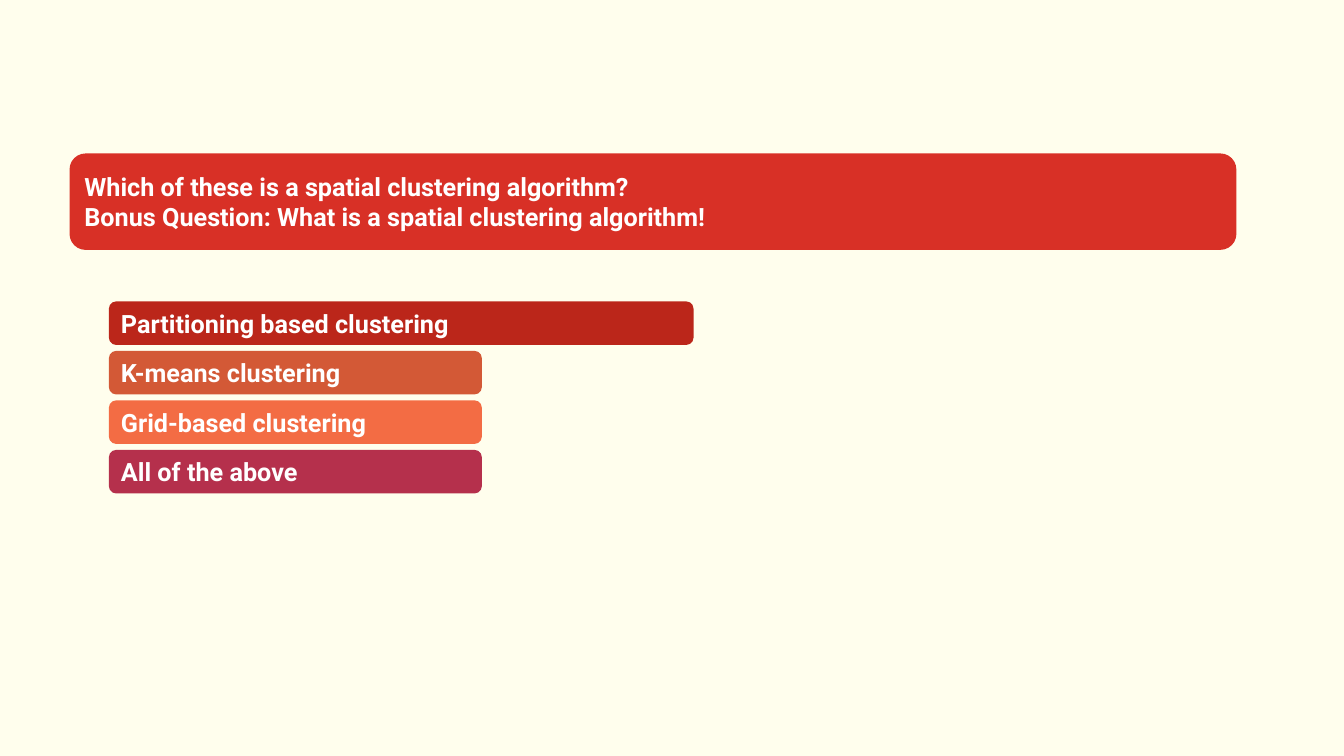
"""Build a quiz slide with one question and four answer bars."""
from dataclasses import dataclass

from pptx import Presentation
from pptx.dml.color import RGBColor
from pptx.enum import shapes, text
from pptx.util import Pt


@dataclass(frozen=True)
class Theme:
    """Colours and type of the slide."""
    background: str = "FFFEED"
    question: str = "D83026"
    answers: tuple = ("BB261A", "D35936", "F36C44", "B5304C")
    ink: str = "FFFFFF"
    font: str = "Roboto"
    size: int = 18


THEME = Theme()
QUESTION = ("Which of these is a spatial clustering algorithm?\v"
            "Bonus Question: What is a spatial clustering algorithm!")
ANSWERS = (
    ("Partitioning based clustering", 417.6),
    ("K-means clustering", 266.4),
    ("Grid-based clustering", 266.4),
    ("All of the above", 266.4),
)
BANNER = (49.68, 109.6, 833.5, 68.9)
ANSWER_LEFT, ANSWER_TOP = 77.8, 215.3
ANSWER_HEIGHT, ANSWER_PITCH = 31.1, 35.35


def write(holder, wording):
    """Set left-aligned bold text in the middle of a shape."""
    frame = holder.text_frame
    frame.text = wording
    frame.word_wrap = True
    frame.auto_size = text.MSO_AUTO_SIZE.NONE
    frame.vertical_anchor = text.MSO_ANCHOR.MIDDLE
    for paragraph in frame.paragraphs:
        paragraph.alignment = text.PP_ALIGN.LEFT
        for run in paragraph.runs:
            run.font.name = THEME.font
            run.font.size = Pt(THEME.size)
            run.font.bold = True
            run.font.color.rgb = RGBColor.from_string(THEME.ink)


def add_bar(slide, box, colour):
    """Draw a flat rounded bar and return it."""
    bar = slide.shapes.add_shape(
        shapes.MSO_SHAPE.ROUNDED_RECTANGLE, *map(Pt, box))
    bar.shadow.inherit = False
    bar.fill.solid()
    bar.fill.fore_color.rgb = RGBColor.from_string(colour)
    bar.line.fill.background()
    return bar


def add_question(slide):
    """Put the title on a banner drawn behind it."""
    title = slide.shapes.title
    banner = add_bar(slide, BANNER, THEME.question)
    title._element.addprevious(banner._element)
    title.left, title.top, title.width, title.height = map(Pt, BANNER)
    write(title, QUESTION)
    title.text_frame.margin_left = Pt(10.6)


def add_answers(slide):
    """Stack the answer bars at an equal pitch."""
    for row, ((wording, width), colour) in enumerate(zip(ANSWERS, THEME.answers)):
        top = ANSWER_TOP + row * ANSWER_PITCH
        answer = add_bar(slide, (ANSWER_LEFT, top, width, ANSWER_HEIGHT), colour)
        write(answer, wording)


def main():
    """Create and save the quiz slide."""
    deck = Presentation()
    deck.slide_width, deck.slide_height = Pt(960), Pt(540)
    slide = deck.slides.add_slide(deck.slide_layouts.get_by_name("Title Only"))
    slide.background.fill.solid()
    slide.background.fill.fore_color.rgb = RGBColor.from_string(THEME.background)
    add_question(slide)
    add_answers(slide)
    deck.save("out.pptx")


if __name__ == "__main__":
    main()
